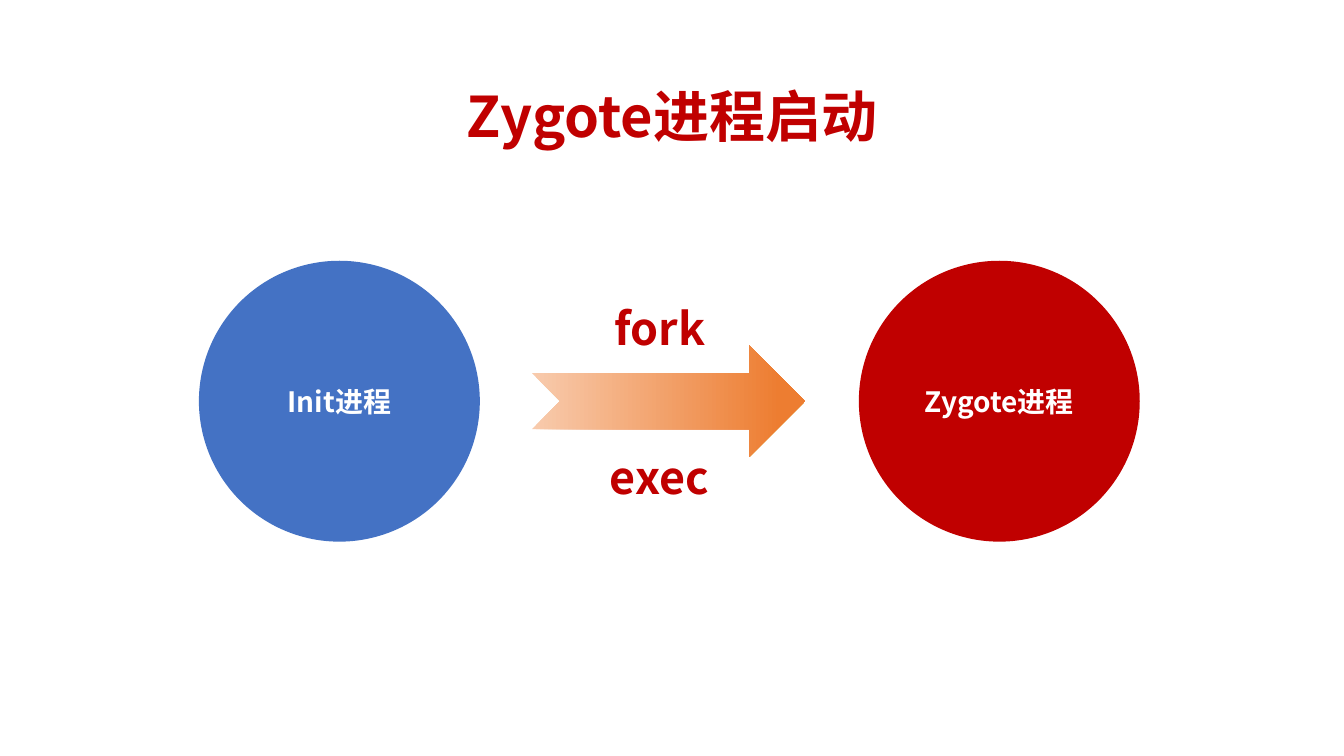
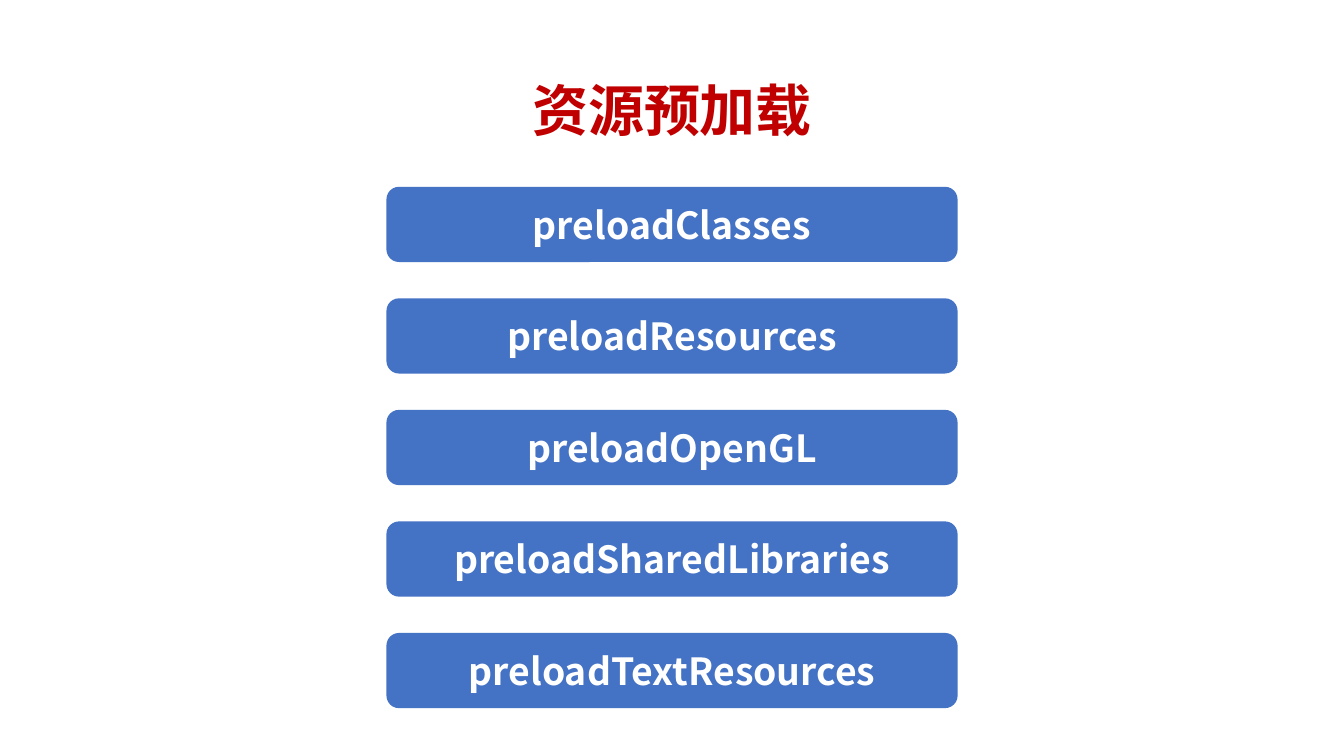
from lxml.etree import SubElement
from pptx import Presentation
from pptx.dml.color import RGBColor
from pptx.enum.shapes import MSO_SHAPE as Preset
from pptx.enum.text import MSO_ANCHOR as Anchor, PP_ALIGN as Align
from pptx.oxml.ns import qn
from pptx.util import Inches, Pt

SLIDE_WIDTH = 10
SLIDE_HEIGHT = SLIDE_WIDTH * 9 / 16
FONT = "Noto Sans CJK SC"
RED, BLUE, WHITE = "C00000", "4472C4", "FFFFFF"
ARROW_STOPS = [(0, "F8CBAD"), (0.91, "ED7D31")]
PRELOADS = ["preloadClasses", "preloadResources", "preloadOpenGL",
            "preloadSharedLibraries", "preloadTextResources"]


def color(value):
    return RGBColor.from_string(value)


def write(shape, text, size, text_color, anchor=Anchor.MIDDLE):
    """Put one bold, centred paragraph into the shape."""
    frame = shape.text_frame
    frame.word_wrap = True
    frame.vertical_anchor = anchor
    paragraph = frame.paragraphs[0]
    paragraph.text = text
    paragraph.alignment = Align.CENTER
    font = paragraph.font
    font.size = Pt(size)
    font.bold = True
    font.color.rgb = color(text_color)
    font.name = FONT
    properties = paragraph._p.pPr.find(qn("a:defRPr"))
    SubElement(properties, qn("a:ea"), typeface=FONT)
    return paragraph


def add_text(slide, box, text, size, anchor=Anchor.TOP):
    textbox = slide.shapes.add_textbox(*map(Inches, box))
    return write(textbox, text, size, RED, anchor)


def add_title(slide, top, height, text):
    paragraph = add_text(slide, (0.69, top, 8.62, height), text, 30, Anchor.MIDDLE)
    paragraph.line_spacing = 0.9


def add_plain_shape(slide, preset, box):
    shape = slide.shapes.add_shape(preset, *map(Inches, box))
    shape.shadow.inherit = False
    shape.line.fill.background()
    return shape


def add_node(slide, preset, box, fill, text, size):
    """Add a solid shape with a white label."""
    shape = add_plain_shape(slide, preset, box)
    shape.fill.solid()
    shape.fill.fore_color.rgb = color(fill)
    write(shape, text, size, WHITE)


def add_gradient_arrow(slide, box):
    fill = add_plain_shape(slide, Preset.NOTCHED_RIGHT_ARROW, box).fill
    fill.gradient()
    fill.gradient_angle = 0
    for stop, (position, value) in zip(fill.gradient_stops, ARROW_STOPS):
        stop.position = position
        stop.color.rgb = color(value)


def add_process_flow(slide, left, top, width, diameter):
    """Two process circles with the system calls on the arrow between them."""
    circles = [(left, BLUE, "Init进程"),
               (left + width - diameter, RED, "Zygote进程")]
    for circle_left, fill, text in circles:
        add_node(slide, Preset.OVAL, (circle_left, top, diameter, diameter),
                 fill, text, 15)
    add_gradient_arrow(slide, (left + 2.48, top + 0.63, 2.03, 0.83))
    add_text(slide, (left + 2.35, top + 0.25, 2.16, 0.5), "fork", 24)
    add_text(slide, (left + 2.58, top + 1.36, 1.69, 0.5), "exec", 24)


def add_preload_stack(slide, top, width, height, gap):
    """Stack the preload steps, centred across the slide."""
    left = (SLIDE_WIDTH - width) / 2
    for index, text in enumerate(PRELOADS):
        box = (left, top + index * (height + gap), width, height)
        add_node(slide, Preset.ROUNDED_RECTANGLE, box, BLUE, text, 20)


def main():
    presentation = Presentation()
    presentation.slide_width = Inches(SLIDE_WIDTH)
    presentation.slide_height = Inches(SLIDE_HEIGHT)
    blank = presentation.slide_layouts[6]

    startup = presentation.slides.add_slide(blank)
    add_title(startup, 0.59, 0.59, "Zygote进程启动")
    add_process_flow(startup, 1.48, 1.94, 7, 2.09)

    preload = presentation.slides.add_slide(blank)
    add_title(preload, 0.3, 1.09, "资源预加载")
    add_preload_stack(preload, 1.39, 4.25, 0.56, 0.27)

    presentation.save("out.pptx")


if __name__ == "__main__":
    main()
